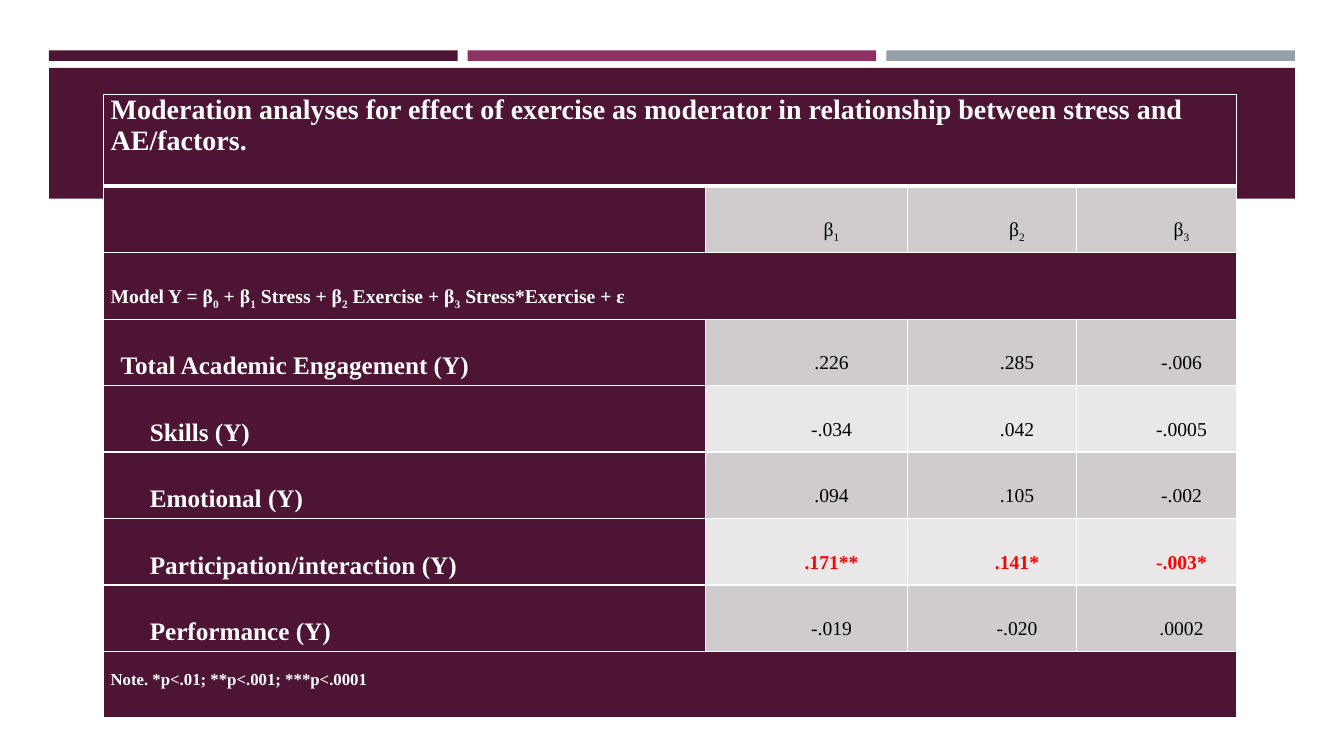
from dataclasses import dataclass

from lxml import etree
from pptx import Presentation
from pptx.dml.color import RGBColor
from pptx.enum.shapes import MSO_SHAPE
from pptx.enum.text import MSO_ANCHOR, PP_ALIGN
from pptx.oxml.ns import qn
from pptx.util import Pt

RECT = MSO_SHAPE.RECTANGLE
TOP, MIDDLE = MSO_ANCHOR.TOP, MSO_ANCHOR.MIDDLE
LEFT, CENTER = PP_ALIGN.LEFT, PP_ALIGN.CENTER


@dataclass(frozen=True)
class Theme:
    font: str = "Times New Roman"
    plum: str = "4D1434"
    berry: str = "903163"
    steel: str = "969FA7"
    dark: str = "D0CCCE"
    light: str = "E9E7E8"
    white: str = "FFFFFF"
    black: str = "000000"
    red: str = "FF0000"
    title: int = 20
    label: int = 18
    body: int = 14
    note: int = 12


THEME = Theme()
TITLE = ("Moderation analyses for effect of exercise as moderator in "
         "relationship between stress and AE/factors.")
# An underscore lowers the character after it.
MODEL = "Model Y = β_0 + β_1 Stress + β_2 Exercise + β_3 Stress*Exercise + ε"
NOTE = "Note. *p<.01; **p<.001; ***p<.0001"
HEADS = ("β_1", "β_2", "β_3")
SCORES = (
    ("Total Academic Engagement (Y)", ".226", ".285", "-.006"),
    ("Skills (Y)", "-.034", ".042", "-.0005"),
    ("Emotional (Y)", ".094", ".105", "-.002"),
    ("Participation/interaction (Y)", ".171**", ".141*", "-.003*"),
    ("Performance (Y)", "-.019", "-.020", ".0002"),
)
WIDTHS = (430, 144, 121, 114)
HEIGHTS = (65.5,) + (47.5,) * 8


def add_rect(slide, box, color):
    shape = slide.shapes.add_shape(RECT, *map(Pt, box))
    shape.shadow.inherit = False
    shape.fill.solid()
    shape.fill.fore_color.rgb = RGBColor.from_string(color)
    shape.line.fill.background()


def add_header(slide, box):
    """Three bars above a wide band."""
    left, top, width, height = box
    gap, thick = 7.2, 7.5
    bar = (width - 2 * gap) / 3
    for i, color in enumerate((THEME.plum, THEME.berry, THEME.steel)):
        add_rect(slide, (left + i * (bar + gap), top, bar, thick), color)
    drop = 12.5
    add_rect(slide, (left, top + drop, width, height - drop), THEME.plum)


def set_edge(cell, side, width):
    props = cell._tc.get_or_add_tcPr()
    line = etree.SubElement(props, qn("a:ln" + side), w=str(Pt(width)))
    fill = etree.SubElement(line, qn("a:solidFill"))
    etree.SubElement(fill, qn("a:srgbClr"), val=THEME.white)


def write(cell, text, size, color, bold=True, anchor=MIDDLE, align=LEFT,
          margin=5, indent=0, first=0, spacing=2):
    cell.vertical_anchor = anchor
    cell.margin_left = cell.margin_right = Pt(margin)
    cell.margin_top = cell.margin_bottom = 0
    para = cell.text_frame.paragraphs[0]
    para.alignment, para.line_spacing = align, spacing
    props = para._p.get_or_add_pPr()
    props.set("marL", str(Pt(indent)))
    props.set("indent", str(Pt(first)))
    head, *tails = text.split("_")
    parts = [(head, False)]
    for tail in tails:
        parts += [(tail[0], True), (tail[1:], False)]
    for part, lower in parts:
        if not part:
            continue
        run = para.add_run()
        run.text = part
        font = run.font
        font.name, font.size, font.bold = THEME.font, Pt(size), bold
        font.color.rgb = RGBColor.from_string(color)
        if lower:
            run._r.get_or_add_rPr().set("baseline", "-25000")


def write_row(table, row, values):
    for col, value in enumerate(values, 1):
        starred = value.endswith("*")
        write(table.cell(row, col), value, THEME.body,
              THEME.red if starred else THEME.black, bold=starred,
              align=CENTER, margin=5 if col == 1 else 0, first=36)


def paint(table):
    last = len(HEIGHTS) - 1
    for r in range(last + 1):
        for c in range(len(WIDTHS)):
            cell = table.cell(r, c)
            for side in "LRTB":
                heavy = (r, side) in ((0, "B"), (1, "T"))
                set_edge(cell, side, 3 if heavy else 1)
            cell.fill.solid()
            if c == 0 or r in (0, 2, last):
                color = THEME.plum
            else:
                color = THEME.dark if r % 2 else THEME.light
            cell.fill.fore_color.rgb = RGBColor.from_string(color)


def add_results(slide, left, top):
    frame = slide.shapes.add_table(
        len(HEIGHTS), len(WIDTHS), Pt(left), Pt(top),
        Pt(sum(WIDTHS)), Pt(sum(HEIGHTS)))
    table = frame.table
    table.first_row = table.horz_banding = False
    for col, width in zip(table.columns, WIDTHS):
        col.width = Pt(width)
    for row, height in zip(table.rows, HEIGHTS):
        row.height = Pt(height)
    paint(table)

    last = len(HEIGHTS) - 1
    for row in (0, 2, last):
        table.cell(row, 0).merge(table.cell(row, len(WIDTHS) - 1))
    write(table.cell(0, 0), TITLE, THEME.title, THEME.white,
          anchor=TOP, spacing=1)
    write_row(table, 1, HEADS)
    write(table.cell(2, 0), MODEL, THEME.body, THEME.white)
    for row, (label, *values) in enumerate(SCORES, 3):
        write(table.cell(row, 0), label, THEME.label, THEME.white,
              indent=7.2 if row == 3 else 28)
        write_row(table, row, values)
    write(table.cell(last, 0), NOTE, THEME.note, THEME.white, anchor=TOP)


def main():
    deck = Presentation()
    deck.slide_width, deck.slide_height = Pt(960), Pt(540)
    slide = deck.slides.add_slide(deck.slide_layouts[6])
    add_header(slide, (35, 36, 890, 106))
    add_results(slide, 74, 67.5)
    deck.save("out.pptx")


if __name__ == "__main__":
    main()
